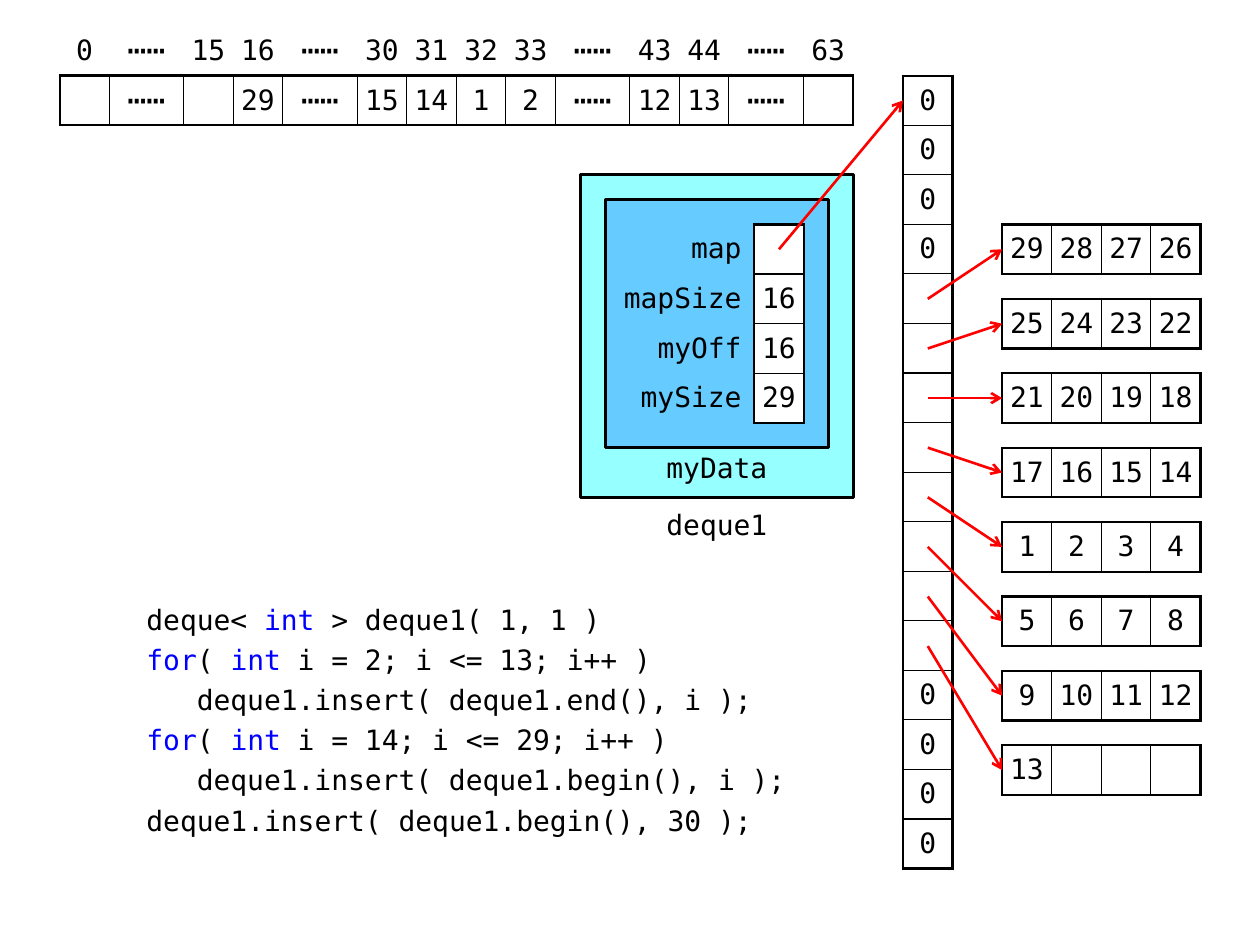
from dataclasses import dataclass

from lxml.etree import SubElement
from pptx import Presentation
from pptx.dml.color import RGBColor
from pptx.enum.shapes import MSO_CONNECTOR, MSO_SHAPE
from pptx.enum.text import MSO_ANCHOR, PP_ALIGN
from pptx.oxml.ns import qn
from pptx.util import Inches, Pt


@dataclass(frozen=True)
class Theme:
    font: str = "DejaVu Sans Mono"
    text_size: float = 16
    dots_size: float = 18
    thick: float = 1.5
    thin: float = 0.75
    black: str = "000000"
    white: str = "FFFFFF"
    keyword: str = "0000FF"
    arrow: str = "FF0000"
    outer_box: str = "96FFFF"
    inner_box: str = "66CCFF"


THEME = Theme()
CELL = 1 / 2.54  # one grid cell in inches
NO_STYLE = "{2D5ABB26-0587-4C30-8999-92F81FD0307C}"
DOTS = "⋯⋯"

INDEXES = ["0", DOTS, "15", "16", DOTS, "30", "31", "32", "33", DOTS, "43", "44", DOTS, "63"]
VALUES = ["", DOTS, "", "29", DOTS, "15", "14", "1", "2", DOTS, "12", "13", DOTS, ""]
MAP_ENTRIES = ["0"] * 4 + [""] * 8 + ["0"] * 4
CHUNKS = [
    ["29", "28", "27", "26"], ["25", "24", "23", "22"],
    ["21", "20", "19", "18"], ["17", "16", "15", "14"],
    ["1", "2", "3", "4"], ["5", "6", "7", "8"],
    ["9", "10", "11", "12"], ["13", "", "", ""],
]
MEMBERS = [["map", ""], ["mapSize", "16"], ["myOff", "16"], ["mySize", "29"]]

# Each line of code: indented or not, then its pieces; keywords are coloured
KEYWORDS = {"int", "for"}
CODE = [
    (False, ["deque< ", "int", " > deque1( 1, 1 )"]),
    (False, ["for", "( ", "int", " i = 2; i <= 13; i++ )"]),
    (True, ["deque1.insert( deque1.end(), i );"]),
    (False, ["for", "( ", "int", " i = 14; i <= 29; i++ )"]),
    (True, ["deque1.insert( deque1.begin(), i );"]),
    (False, ["deque1.insert( deque1.begin(), 30 );"]),
]


def grid_x(column):
    return Inches(0.08 + column * CELL)


def grid_y(row):
    return Inches(0.01 + row * CELL)


def span(cells):
    return Inches(cells * CELL)


def format_run(run, color=THEME.black):
    run.font.name = THEME.font
    run.font.size = Pt(THEME.dots_size if run.text == DOTS else THEME.text_size)
    run.font.color.rgb = RGBColor.from_string(color)


def set_border(cell, side, width):
    line = SubElement(cell._tc.get_or_add_tcPr(), qn(f"a:ln{side}"), w=str(Pt(width)))
    fill = SubElement(line, qn("a:solidFill"))
    SubElement(fill, qn("a:srgbClr"), val=THEME.black)


def frame_cell(cell, row, column, framed):
    """Thick lines around the framed cells, thin lines between them."""
    neighbours = {
        "L": (row, column - 1), "R": (row, column + 1),
        "T": (row - 1, column), "B": (row + 1, column),
    }
    for side, neighbour in neighbours.items():
        inside = ((row, column) in framed) + (neighbour in framed)
        if inside:
            set_border(cell, side, THEME.thin if inside == 2 else THEME.thick)
    if (row, column) in framed:
        cell.fill.solid()
        cell.fill.fore_color.rgb = RGBColor.from_string(THEME.white)
    else:
        cell.fill.background()


def add_grid(slide, rows, left, top, widths, first_row=0, first_column=0):
    """Table whose frame starts at first_row and first_column; labels lie outside."""
    graphic = slide.shapes.add_table(
        len(rows), len(widths), grid_x(left), grid_y(top), span(sum(widths)), span(len(rows)))
    table = graphic.table
    table.first_row = table.horz_banding = False
    table._tbl.tblPr.find(qn("a:tableStyleId")).text = NO_STYLE
    for column, width in zip(table.columns, widths):
        column.width = span(width)
    for row in table.rows:
        row.height = span(1)
    framed = {(row, column) for row in range(first_row, len(rows))
              for column in range(first_column, len(widths))}
    for row, values in enumerate(rows):
        for column, value in enumerate(values):
            cell = table.cell(row, column)
            label = column < first_column
            cell.margin_left = cell.margin_right = Inches(0.1 if label else 0.04)
            cell.margin_top = cell.margin_bottom = Inches(0.04)
            cell.vertical_anchor = MSO_ANCHOR.MIDDLE
            frame_cell(cell, row, column, framed)
            cell.text_frame.text = value
            paragraph = cell.text_frame.paragraphs[0]
            paragraph.alignment = PP_ALIGN.RIGHT if label else PP_ALIGN.CENTER
            for run in paragraph.runs:
                format_run(run)


def add_box(slide, left, top, width, height, color):
    shape = slide.shapes.add_shape(
        MSO_SHAPE.FLOWCHART_PROCESS, grid_x(left), grid_y(top), span(width), span(height))
    shape.shadow.inherit = False
    shape.fill.solid()
    shape.fill.fore_color.rgb = RGBColor.from_string(color)
    shape.line.color.rgb = RGBColor.from_string(THEME.black)
    shape.line.width = Pt(THEME.thick)


def add_text_frame(slide, left, top, width, height):
    shape = slide.shapes.add_textbox(grid_x(left), grid_y(top), span(width), span(height))
    shape.text_frame.word_wrap = True
    return shape.text_frame


def add_label(slide, text, left, top, width, anchor, margin_top):
    text_frame = add_text_frame(slide, left, top, width, 1)
    text_frame.margin_left = text_frame.margin_right = Inches(0.08)
    text_frame.margin_top, text_frame.margin_bottom = Inches(margin_top), 0
    text_frame.vertical_anchor = anchor
    text_frame.text = text
    paragraph = text_frame.paragraphs[0]
    paragraph.alignment = PP_ALIGN.CENTER
    format_run(paragraph.runs[0])


def add_code(slide, left, top, width, height):
    text_frame = add_text_frame(slide, left, top, width, height)
    for number, (indented, pieces) in enumerate(CODE):
        paragraph = text_frame.add_paragraph() if number else text_frame.paragraphs[0]
        paragraph.space_before = Pt(3.7)
        if indented:
            paragraph._p.get_or_add_pPr().set("marL", str(Inches(0.4)))
        for piece in pieces:
            run = paragraph.add_run()
            run.text = piece
            format_run(run, THEME.keyword if piece in KEYWORDS else THEME.black)


def add_arrow(slide, start, end):
    connector = slide.shapes.add_connector(
        MSO_CONNECTOR.STRAIGHT, grid_x(start[0]), grid_y(start[1]), grid_x(end[0]), grid_y(end[1]))
    connector.line.color.rgb = RGBColor.from_string(THEME.arrow)
    connector.line.width = Pt(THEME.thick)
    SubElement(connector.line._get_or_add_ln(), qn("a:tailEnd"), type="arrow")
    SubElement(connector._element.spPr, qn("a:effectLst"))


def main():
    presentation = Presentation()
    presentation.slide_width, presentation.slide_height = Inches(10), Inches(7.5)
    slide = presentation.slides.add_slide(presentation.slide_layouts[6])

    add_code(slide, 2.5, 12, 13.5, 5.5)

    # Logical sequence with its indexes
    widths = [1.5 if index == DOTS else 1 for index in INDEXES]
    add_grid(slide, [INDEXES, VALUES], 1, 0.5, widths, first_row=1)

    # Map and the chunks it points to
    add_grid(slide, [[entry] for entry in MAP_ENTRIES], 18, 1.5, [1])
    for number, chunk in enumerate(CHUNKS):
        top = 4.5 + 1.5 * number
        add_grid(slide, [chunk], 20, top, [1] * 4)
        add_arrow(slide, (18.5, 6 + number), (20, top + 0.5))

    # The deque object and its members
    add_box(slide, 11.5, 3.5, 5.5, 6.5, THEME.outer_box)
    add_box(slide, 12, 4, 4.5, 5, THEME.inner_box)
    add_label(slide, "deque1", 12.5, 10, 3.5, MSO_ANCHOR.MIDDLE, 0.04)
    add_label(slide, "myData", 13, 9, 2.5, MSO_ANCHOR.TOP, 0.02)
    add_grid(slide, MEMBERS, 12, 4.5, [3, 1], first_column=1)
    add_arrow(slide, (15.5, 5), (18, 2))

    presentation.save("out.pptx")


main()
